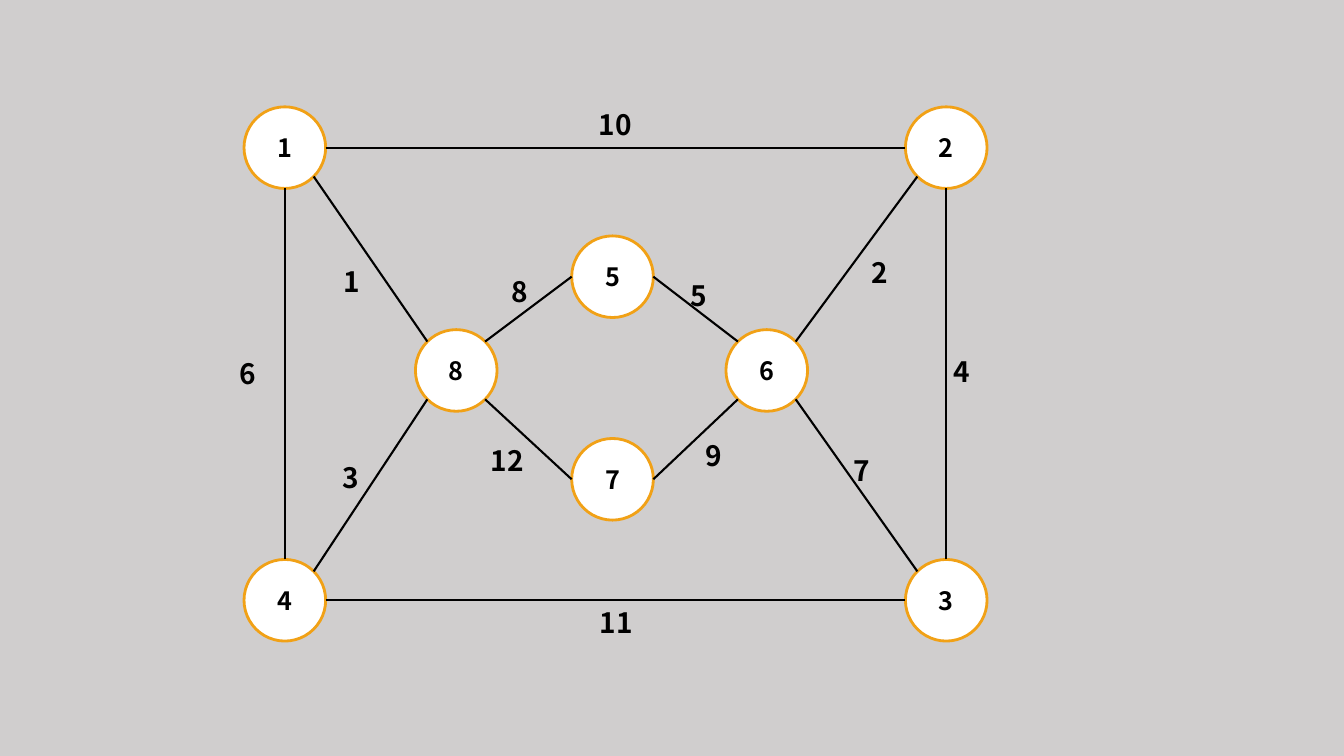
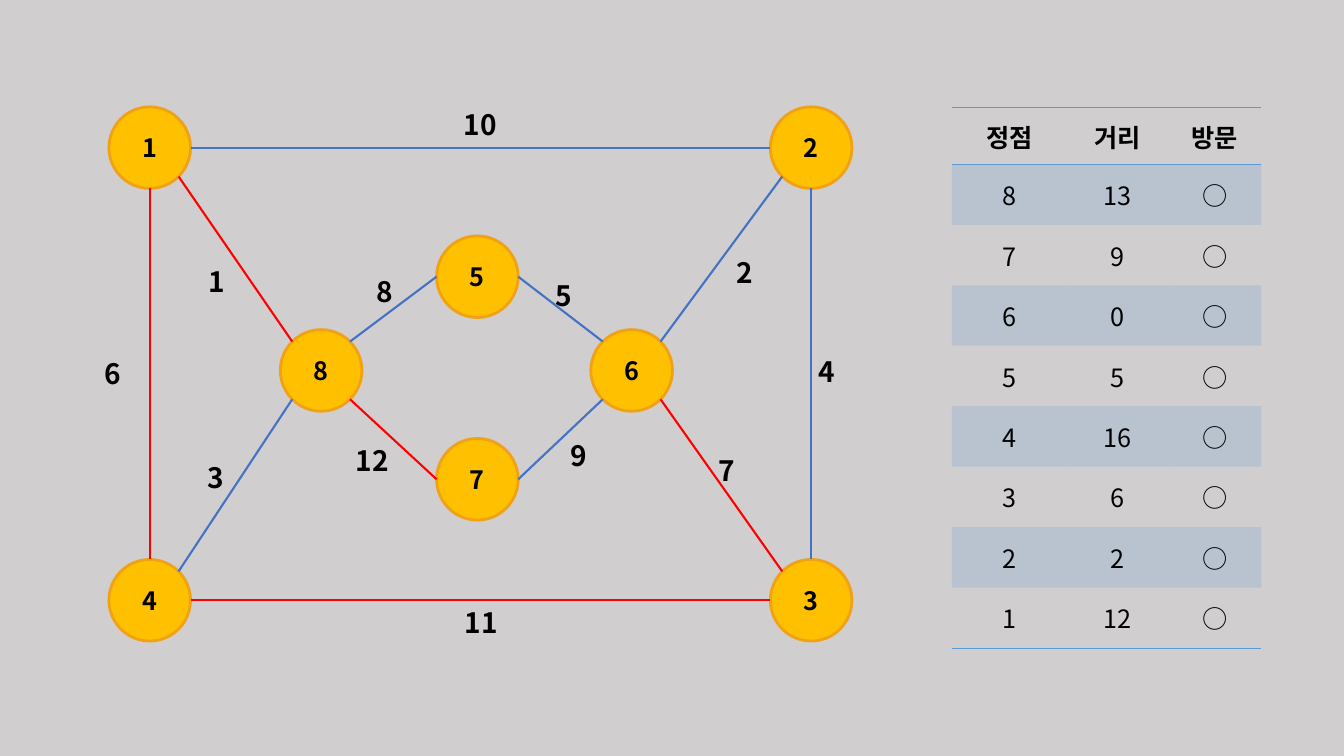
from dataclasses import dataclass
from enum import Enum
from math import cos, radians, sin

from lxml.etree import SubElement
from pptx import Presentation
from pptx.dml.color import RGBColor
from pptx.enum.shapes import MSO_CONNECTOR, MSO_SHAPE
from pptx.enum.text import MSO_ANCHOR, MSO_AUTO_SIZE, PP_ALIGN
from pptx.oxml.ns import qn
from pptx.slide import Slide
from pptx.table import _Cell
from pptx.util import Inches, Pt

FONT = "Noto Sans CJK KR"
COLORS = {
    "background": "D0CECE",
    "text": "000000",
    "ring": "F1A116",
    "unvisited": "FFFFFF",
    "visited": "FFC000",
    "plain edge": "000000",
    "unused edge": "4472C4",
    "marked edge": "FF0000",
    "table": "5B9BD5",
}
NODE_SIZE = 0.81
LABEL_HEIGHT = 0.44
LABEL_PADDING = 0.19
DIGIT_WIDTH = 0.17
TABLE_LEFT, TABLE_TOP = 9.44, 1.07
COLUMN_WIDTHS = (1.14, 1.01, 0.92)
HEADER_HEIGHT, ROW_HEIGHT = 0.56, 0.6
NO_GRID_STYLE = "{2D5ABB26-0587-4C30-8999-92F81FD0307C}"


class Side(Enum):
    RIGHT = 0
    BOTTOM_RIGHT = 45
    BOTTOM = 90
    BOTTOM_LEFT = 135
    LEFT = 180
    TOP_LEFT = 225
    TOP = 270
    TOP_RIGHT = 315


@dataclass(frozen=True)
class Node:
    name: str
    left: float
    top: float

    def point(self, side: Side) -> tuple[float, float]:
        radius = NODE_SIZE / 2
        angle = radians(side.value)
        return (self.left + radius * (1 + cos(angle)),
                self.top + radius * (1 + sin(angle)))


@dataclass(frozen=True)
class Edge:
    start: str
    start_side: Side
    end: str
    end_side: Side
    weight: int
    label_left: float
    label_top: float
    marked: bool = False


@dataclass(frozen=True)
class GraphStyle:
    shift: float
    node_fill: str
    edge: str
    marked_edge: str


NODES = {node.name: node for node in (
    Node("1", 2.42, 1.06),
    Node("2", 8.98, 1.06),
    Node("4", 2.42, 5.55),
    Node("3", 8.98, 5.55),
    Node("5", 5.67, 2.34),
    Node("7", 5.67, 4.35),
    Node("6", 7.2, 3.27),
    Node("8", 4.12, 3.27),
)}
EDGES = (
    Edge("1", Side.RIGHT, "2", Side.LEFT, 10, 5.84, 1.02),
    Edge("1", Side.BOTTOM_RIGHT, "8", Side.TOP_LEFT, 1, 3.31, 2.57, True),
    Edge("4", Side.TOP_RIGHT, "8", Side.BOTTOM_LEFT, 3, 3.3, 4.52),
    Edge("4", Side.TOP, "1", Side.BOTTOM, 6, 2.28, 3.49, True),
    Edge("4", Side.RIGHT, "3", Side.LEFT, 11, 5.85, 5.96, True),
    Edge("8", Side.BOTTOM_RIGHT, "7", Side.LEFT, 12, 4.77, 4.35, True),
    Edge("8", Side.TOP_RIGHT, "5", Side.LEFT, 8, 4.98, 2.67),
    Edge("5", Side.RIGHT, "6", Side.TOP_LEFT, 5, 6.75, 2.71),
    Edge("6", Side.BOTTOM_RIGHT, "3", Side.TOP_LEFT, 7, 8.37, 4.45, True),
    Edge("6", Side.TOP_RIGHT, "2", Side.BOTTOM_LEFT, 2, 8.55, 2.49),
    Edge("3", Side.TOP, "2", Side.BOTTOM, 4, 9.36, 3.47),
    Edge("7", Side.RIGHT, "6", Side.BOTTOM_LEFT, 9, 6.9, 4.3),
)
START_GRAPH = GraphStyle(0, "unvisited", "plain edge", "plain edge")
FINAL_GRAPH = GraphStyle(-1.34, "visited", "unused edge", "marked edge")
HEADINGS = ("정점", "거리", "방문")
DISTANCES = {8: 13, 7: 9, 6: 0, 5: 5, 4: 16, 3: 6, 2: 2, 1: 12}
VISITED = "○"


def color(name: str) -> RGBColor:
    return RGBColor.from_string(COLORS[name])


def write(frame, text: str, size: int, bold: bool, align: PP_ALIGN) -> None:
    para = frame.paragraphs[0]
    para.text = text
    para.alignment = align
    font = para.font
    font.name, font.size, font.bold = FONT, Pt(size), bold
    font.color.rgb = color("text")
    defaults = para._p.pPr.find(qn("a:defRPr"))
    SubElement(defaults, qn("a:ea"), typeface=FONT)


def draw_node(page: Slide, node: Node, style: GraphStyle) -> None:
    circle = page.shapes.add_shape(
        MSO_SHAPE.OVAL, Inches(node.left + style.shift), Inches(node.top),
        Inches(NODE_SIZE), Inches(NODE_SIZE))
    circle.shadow.inherit = False
    circle.fill.solid()
    circle.fill.fore_color.rgb = color(style.node_fill)
    circle.line.color.rgb = color("ring")
    circle.line.width = Pt(2)
    circle.text_frame.vertical_anchor = MSO_ANCHOR.MIDDLE
    write(circle.text_frame, node.name, 18, True, PP_ALIGN.CENTER)


def draw_edge(page: Slide, edge: Edge, style: GraphStyle) -> None:
    start_x, start_y = NODES[edge.start].point(edge.start_side)
    end_x, end_y = NODES[edge.end].point(edge.end_side)
    line = page.shapes.add_connector(
        MSO_CONNECTOR.STRAIGHT,
        Inches(start_x + style.shift), Inches(start_y),
        Inches(end_x + style.shift), Inches(end_y))
    line.line.color.rgb = color(style.marked_edge if edge.marked else style.edge)
    line.line.width = Pt(1.5)
    SubElement(line._element.spPr, qn("a:effectLst"))


def draw_weight(page: Slide, edge: Edge, style: GraphStyle) -> None:
    text = str(edge.weight)
    box = page.shapes.add_textbox(
        Inches(edge.label_left + style.shift), Inches(edge.label_top),
        Inches(LABEL_PADDING + DIGIT_WIDTH * len(text)), Inches(LABEL_HEIGHT))
    box.text_frame.word_wrap = False
    box.text_frame.auto_size = MSO_AUTO_SIZE.SHAPE_TO_FIT_TEXT
    write(box.text_frame, text, 20, True, PP_ALIGN.LEFT)


def draw_graph(page: Slide, style: GraphStyle) -> None:
    for node in NODES.values():
        draw_node(page, node, style)
    for edge in EDGES:
        draw_edge(page, edge, style)
    for edge in EDGES:
        draw_weight(page, edge, style)


def add_border(cell: _Cell, side: str) -> None:
    border = SubElement(cell._tc.get_or_add_tcPr(), qn(f"a:ln{side}"), w=str(Pt(1)))
    fill = SubElement(border, qn("a:solidFill"))
    SubElement(fill, qn("a:srgbClr"), val=COLORS["table"])


def fill_band(cell: _Cell) -> None:
    cell.fill.solid()
    cell.fill.fore_color.rgb = color("table")
    tint = cell._tc.tcPr.find(f"{qn('a:solidFill')}/{qn('a:srgbClr')}")
    SubElement(tint, qn("a:alpha"), val="20000")


def draw_distance_table(page: Slide) -> None:
    rows = [HEADINGS] + [(str(vertex), str(distance), VISITED)
                         for vertex, distance in DISTANCES.items()]
    last = len(rows) - 1
    frame = page.shapes.add_table(
        len(rows), len(HEADINGS), Inches(TABLE_LEFT), Inches(TABLE_TOP),
        Inches(sum(COLUMN_WIDTHS)), Inches(HEADER_HEIGHT + ROW_HEIGHT * last))
    table = frame.table
    table.first_row = table.horz_banding = False
    table._tbl.tblPr.find(qn("a:tableStyleId")).text = NO_GRID_STYLE
    for column, width in zip(table.columns, COLUMN_WIDTHS):
        column.width = Inches(width)
    for index, values in enumerate(rows):
        is_header = index == 0
        table.rows[index].height = Inches(HEADER_HEIGHT if is_header else ROW_HEIGHT)
        for cell, value in zip(table.rows[index].cells, values):
            cell.vertical_anchor = MSO_ANCHOR.MIDDLE
            write(cell.text_frame, value, 18, is_header, PP_ALIGN.CENTER)
            if is_header:
                add_border(cell, "T")
            if index in (0, last):
                add_border(cell, "B")
            if index % 2:
                fill_band(cell)
            else:
                cell.fill.background()


def main() -> None:
    deck = Presentation()
    deck.slide_width, deck.slide_height = Inches(13.33), Inches(7.5)
    background = deck.slide_master.background.fill
    background.solid()
    background.fore_color.rgb = color("background")
    blank = deck.slide_layouts.get_by_name("Blank")

    start_page = deck.slides.add_slide(blank)
    draw_graph(start_page, START_GRAPH)

    final_page = deck.slides.add_slide(blank)
    draw_distance_table(final_page)
    draw_graph(final_page, FINAL_GRAPH)

    deck.save("out.pptx")


main()
